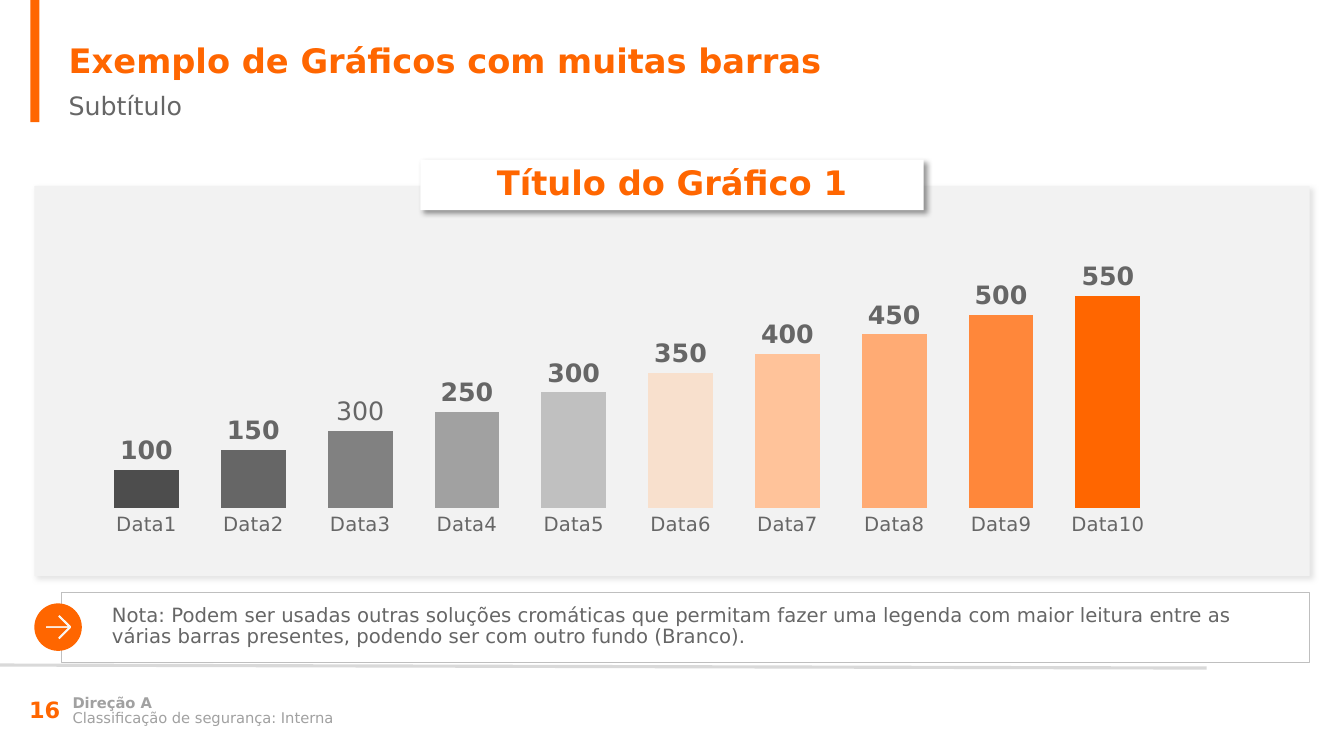
from lxml.etree import SubElement
from pptx import Presentation
from pptx.chart.data import CategoryChartData
from pptx.dml.color import RGBColor
from pptx.enum.chart import XL_CHART_TYPE, XL_LABEL_POSITION, XL_TICK_MARK
from pptx.enum.shapes import MSO_CONNECTOR, MSO_SHAPE
from pptx.enum.text import MSO_ANCHOR, MSO_AUTO_SIZE, PP_ALIGN
from pptx.oxml.ns import qn
from pptx.util import Inches, Pt

FONT = "DejaVu Sans"
COLORS = {
    "orange": "FF6600", "text": "666666", "footer": "A1A1A1", "panel": "F2F2F2",
    "border": "BFBFBF", "rule": "D9D9D9", "white": "FFFFFF", "black": "000000",
}
TITLE = "Exemplo de Gráficos com muitas barras"
SUBTITLE = "Subtítulo"
CHART_TITLE = "Título do Gráfico 1"
NOTE = ("Nota: Podem ser usadas outras soluções cromáticas que permitam fazer uma "
        "legenda com maior leitura entre as várias barras presentes, podendo ser "
        "com outro fundo (Branco).")
PAGE_NUMBER = "16"
FOOTER = [("Direção A", 6.84, True), ("Classificação de segurança: Interna", 6.99, False)]
BARS = [  # category, value, colour
    ("Data1", 100, "4D4D4D"), ("Data2", 150, "666666"), ("Data3", 200, "818181"),
    ("Data4", 250, "A1A1A1"), ("Data5", 300, "C0C0C0"), ("Data6", 350, "F8E0CD"),
    ("Data7", 400, "FFC39A"), ("Data8", 450, "FFAB74"), ("Data9", 500, "FF873A"),
    ("Data10", 550, "FF6600"),
]
CUSTOM_LABELS = {2: "300"}
PLOT_AREA = {"x": 0.025, "y": 0.081, "w": 0.965, "h": 0.757}
ARROW = [(0.59, 6.09), (0.7, 6.2), (0.7, 6.21), (0.59, 6.32), (0.58, 6.31),
         (0.68, 6.21), (0.46, 6.21), (0.46, 6.2), (0.68, 6.2), (0.58, 6.1)]


def rgb(name):
    return RGBColor.from_string(COLORS.get(name, name))


def style_font(font, size, color, bold=False):
    font.name, font.size, font.bold = FONT, Pt(size), bold
    font.color.rgb = rgb(color)


def place(shape, left, top, width, height):
    shape.left, shape.top = Inches(left), Inches(top)
    shape.width, shape.height = Inches(width), Inches(height)


def write(shape, text, size, color, bold=False, anchor=MSO_ANCHOR.MIDDLE,
          align=PP_ALIGN.LEFT, spacing=1.0, before=0, after=0, grow=False):
    frame = shape.text_frame
    frame.text = text
    frame.word_wrap = True
    frame.vertical_anchor = anchor
    frame.auto_size = MSO_AUTO_SIZE.SHAPE_TO_FIT_TEXT if grow else MSO_AUTO_SIZE.NONE
    paragraph = frame.paragraphs[0]
    paragraph.alignment, paragraph.line_spacing = align, spacing
    paragraph.space_before, paragraph.space_after = Pt(before), Pt(after)
    style_font(paragraph.runs[0].font, size, color, bold)


def paint(shape, fill=None, line=None, line_width=0.5):
    shape.shadow.inherit = False
    if fill:
        shape.fill.solid()
        shape.fill.fore_color.rgb = rgb(fill)
    else:
        shape.fill.background()
    if line:
        shape.line.color.rgb = rgb(line)
        shape.line.width = Pt(line_width)
    else:
        shape.line.fill.background()


def cast_shadow(shape, color, opacity):
    """Fill the shape's empty effect list with a soft shadow to the lower right."""
    effects = shape.element.spPr.find(qn("a:effectLst"))
    shadow = SubElement(effects, qn("a:outerShdw"), blurRad=str(Pt(4)), dist=str(Pt(3)),
                        dir=str(45 * 60000), algn="tl", rotWithShape="0")
    shade = SubElement(shadow, qn("a:srgbClr"), val=COLORS[color])
    SubElement(shade, qn("a:alpha"), val=str(opacity * 1000))


def add_shape(slide, kind, box, **paint_options):
    shape = slide.shapes.add_shape(kind, *map(Inches, box))
    paint(shape, **paint_options)
    return shape


def add_text(slide, box, text, size, color, **text_options):
    write(slide.shapes.add_textbox(*map(Inches, box)), text, size, color, **text_options)


def add_frame(slide):
    """Draw the accent bar, footer rule, chart panel and note box with its arrow."""
    add_shape(slide, MSO_SHAPE.RECTANGLE, (0.3, 0, 0.09, 1.21), fill="orange")
    rule = slide.shapes.add_connector(
        MSO_CONNECTOR.STRAIGHT, Inches(0), Inches(6.58), Inches(11.94), Inches(6.61))
    rule.line.color.rgb = rgb("rule")
    rule.line.width = Pt(2.25)
    SubElement(rule.element.spPr, qn("a:effectLst"))
    panel = add_shape(slide, MSO_SHAPE.RECTANGLE, (0.34, 1.84, 12.62, 3.86), fill="panel")
    cast_shadow(panel, "border", 43)
    add_shape(slide, MSO_SHAPE.RECTANGLE, (0.61, 5.86, 12.35, 0.69), line="border")
    add_shape(slide, MSO_SHAPE.OVAL, (0.34, 5.97, 0.47, 0.47), fill="orange")
    start, *rest = [(Inches(x), Inches(y)) for x, y in ARROW]
    outline = slide.shapes.build_freeform(*start)
    outline.add_line_segments(rest, close=True)
    paint(outline.convert_to_shape(), fill="panel", line="white", line_width=0.42)


def add_bar_chart(slide):
    chart_data = CategoryChartData()
    chart_data.categories = [name for name, _, _ in BARS] + [""]
    chart_data.add_series("Series 1", [value for _, value, _ in BARS] + [None])
    box = map(Inches, (0.62, 2.49, 12.05, 3.03))
    chart = slide.shapes.add_chart(XL_CHART_TYPE.COLUMN_CLUSTERED, *box, chart_data).chart
    chart.has_legend = chart.has_title = False
    style_font(chart.font, 10, "text")

    categories, values = chart.category_axis, chart.value_axis
    categories.major_tick_mark = XL_TICK_MARK.NONE
    categories.format.line.fill.background()
    style_font(categories.tick_labels.font, 14, "text")
    values.visible = values.has_major_gridlines = False
    values.minimum_scale, values.maximum_scale = 0, 600

    plot = chart.plots[0]
    plot.gap_width, plot.overlap, plot.vary_by_categories = 65, 94, False
    bars = plot.series[0]
    bars.format.fill.solid()
    bars.format.fill.fore_color.rgb = rgb("border")
    for index, (_, _, color) in enumerate(BARS):
        fill = bars.points[index].format.fill
        fill.solid()
        fill.fore_color.rgb = rgb(color)
    labels = bars.data_labels
    labels.show_value = True
    labels.position = XL_LABEL_POSITION.OUTSIDE_END
    style_font(labels.font, 18, "text", bold=True)
    for index, text in CUSTOM_LABELS.items():
        label = bars.points[index].data_label
        label.text_frame.text = text
        style_font(label.text_frame.paragraphs[0].runs[0].font, 18, "text")
        label.position = XL_LABEL_POSITION.OUTSIDE_END

    plot_area = plot._element.getparent()
    for old in plot_area.findall(qn("c:layout")):
        plot_area.remove(old)
    layout = plot_area.makeelement(qn("c:layout"))
    plot_area.insert(0, layout)
    manual = SubElement(layout, qn("c:manualLayout"))
    SubElement(manual, qn("c:layoutTarget"), val="inner")
    for side in "xy":
        SubElement(manual, qn(f"c:{side}Mode"), val="edge")
    for side, share in PLOT_AREA.items():
        SubElement(manual, qn(f"c:{side}"), val=str(share))


def main():
    presentation = Presentation()
    presentation.slide_width, presentation.slide_height = Inches(13.3), Inches(7.48)
    slide = presentation.slides.add_slide(presentation.slide_layouts.get_by_name("Comparison"))
    title, subtitle, left_content, chart_title, right_content = slide.placeholders
    for unused in (left_content, right_content):
        unused.element.getparent().remove(unused.element)

    add_frame(slide)
    place(title, 0.58, 0.34, 12.42, 0.5)
    write(title, TITLE, 24, "orange", bold=True, anchor=MSO_ANCHOR.TOP)
    place(subtitle, 0.58, 0.84, 12.42, 0.4)
    write(subtitle, SUBTITLE, 18, "text", anchor=MSO_ANCHOR.TOP)
    place(chart_title, 4.16, 1.58, 4.98, 0.5)
    write(chart_title, CHART_TITLE, 24, "orange", bold=True, align=PP_ALIGN.CENTER, spacing=0.85)
    paint(chart_title, fill="white")
    cast_shadow(chart_title, "black", 40)
    chart_title.element.getparent().append(chart_title.element)  # in front of the panel

    add_bar_chart(slide)
    add_text(slide, (1.01, 5.98, 11.66, 0.44), NOTE, 14, "text", spacing=0.9)
    add_text(slide, (0.19, 6.82, 0.69, 0.4), PAGE_NUMBER, 16, "orange", bold=True)
    for text, top, bold in FOOTER:
        add_text(slide, (0.62, top, 7.53, 0.25), text, 10.5, "footer", bold=bold,
                 spacing=0.85, before=6, after=4, grow=True)
    presentation.save("out.pptx")


if __name__ == "__main__":
    main()
